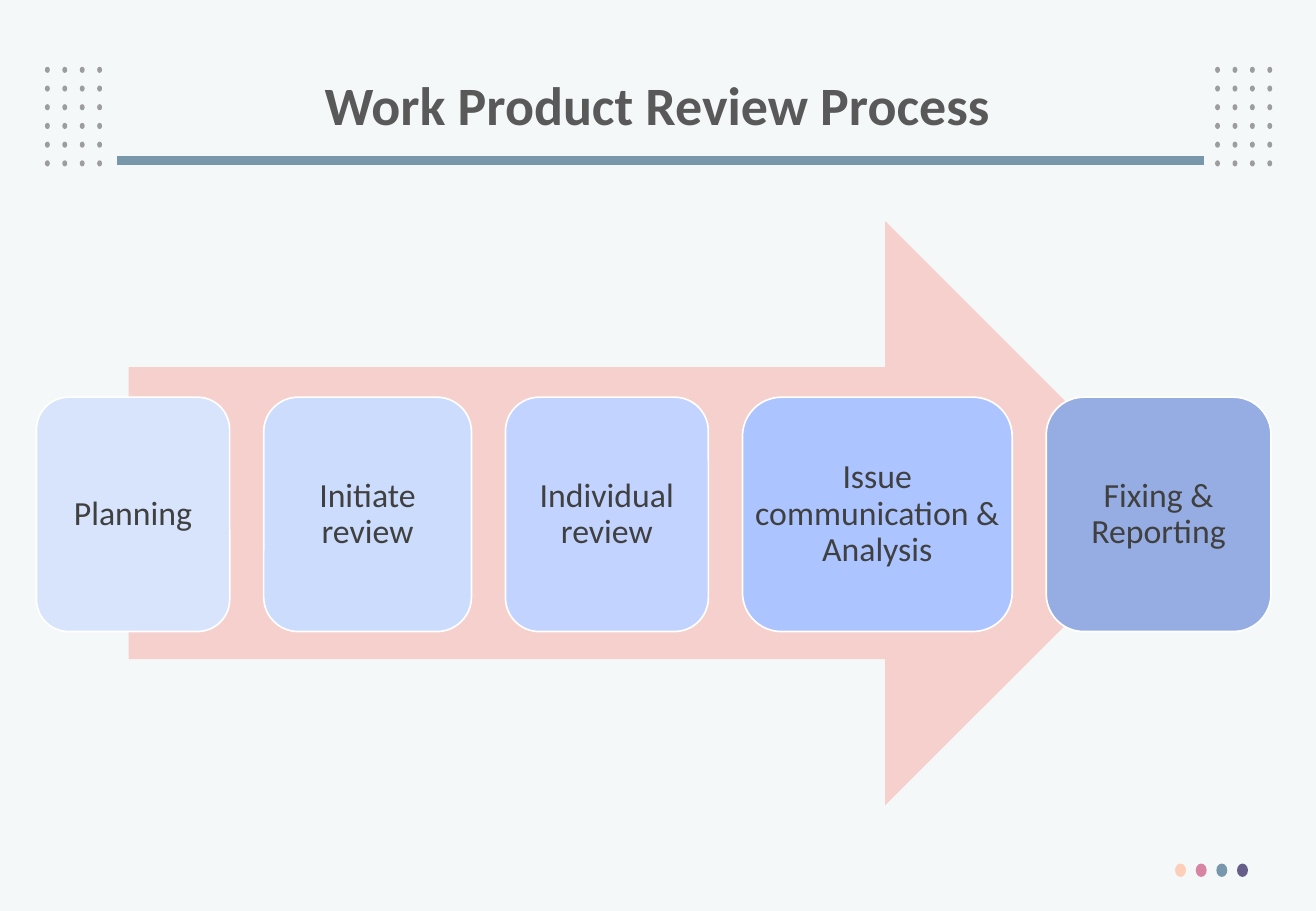
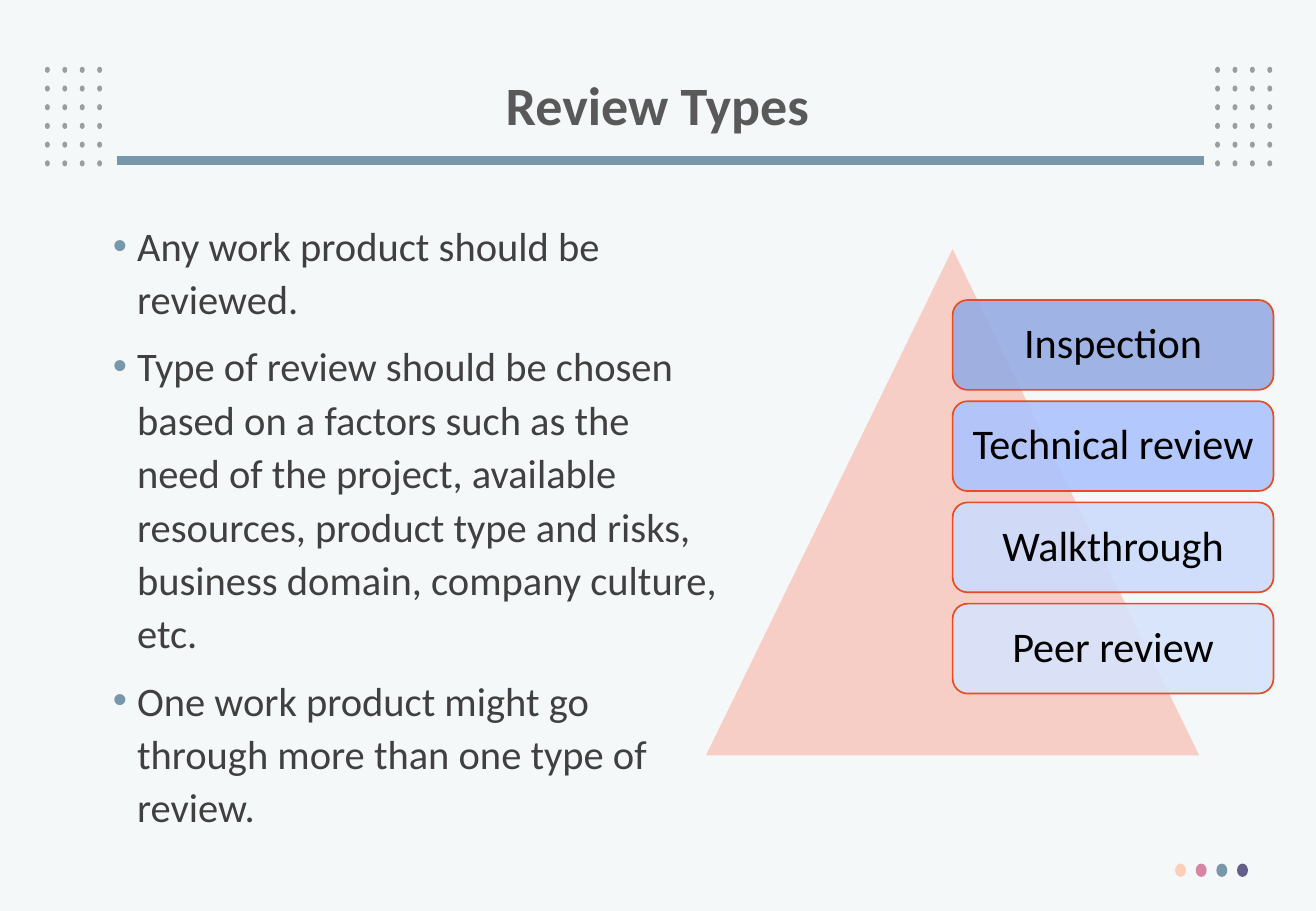
"""Build two slides on work product reviews: the process and the review types."""
from dataclasses import dataclass

from lxml import etree
from pptx import Presentation
from pptx.dml.color import RGBColor
from pptx.enum import shapes, text
from pptx.oxml import ns
from pptx.util import Inches, Pt

FONT = "Calibri"
BACKGROUND, TITLE, BODY, RULE, DOT = "F5F8F9", "595959", "404040", "7897AB", "9D9D9D"
FOOTER_DOTS = ("FDCEB9", "D885A3", RULE, "655D8A")
SHAPE, ALIGN, ANCHOR = shapes.MSO_SHAPE, text.PP_ALIGN, text.MSO_ANCHOR


@dataclass(frozen=True)
class Step:
    label: str
    width: float
    fill: str


@dataclass(frozen=True)
class ReviewType:
    label: str
    fill: str


STEPS = (
    Step("Planning", 1.59, "D7E4FC"),
    Step("Initiate review", 1.71, "CCDCFD"),
    Step("Individual review", 1.67, "C1D3FE"),
    Step("Issue communication & Analysis", 2.22, "ACC4FF"),
    Step("Fixing & Reporting", 1.85, "96ADE3"),
)
REVIEW_TYPES = (
    ReviewType("Inspection", "96ADE3"),
    ReviewType("Technical review", "ACC4FF"),
    ReviewType("Walkthrough", "CCDCFD"),
    ReviewType("Peer review", "D7E4FC"),
)
POINTS = (
    "Any work product should be reviewed.",
    "Type of review should be chosen based on a factors such as the need of the project, "
    "available resources, product type and risks, business domain, company culture, etc.",
    "One work product might go through more than one type of review.",
)


def set_colour(target, value: str) -> None:
    """Give a fill, line fill or font a solid colour from a hex string."""
    if hasattr(target, "solid"):
        target.solid()
        target = target.fore_color
    else:
        target = target.color
    target.rgb = RGBColor.from_string(value)


def add_bullet(p) -> None:
    """Give a paragraph a hanging coloured bullet."""
    pPr = p._p.get_or_add_pPr()
    pPr.set("marL", str(Inches(0.2)))
    pPr.set("indent", str(-Inches(0.2)))
    colour = etree.SubElement(pPr, ns.qn("a:buClr"))
    etree.SubElement(colour, ns.qn("a:srgbClr"), val=RULE)
    etree.SubElement(pPr, ns.qn("a:buFont"), typeface="Arial")
    etree.SubElement(pPr, ns.qn("a:buChar"), char="•")


def write(sp, *lines: str, size: float, colour: str, bold: bool = False,
          align=ALIGN.CENTER, anchor=ANCHOR.MIDDLE, spacing: float = 0.9,
          before: float = 0, margins: tuple[float, float] = (0.1, 0.05),
          bullets: bool = False) -> None:
    """Write one paragraph per line into a shape."""
    tf = sp.text_frame
    tf.word_wrap = True
    tf.vertical_anchor = anchor
    tf.margin_left = tf.margin_right = Inches(margins[0])
    tf.margin_top = tf.margin_bottom = Inches(margins[1])
    for i, line in enumerate(lines):
        p = tf.add_paragraph() if i else tf.paragraphs[0]
        p.alignment, p.line_spacing, p.space_before = align, spacing, Pt(before)
        if bullets:
            add_bullet(p)
        r = p.add_run()
        r.text = line
        r.font.name, r.font.size, r.font.bold = FONT, Pt(size), bold
        set_colour(r.font.fill, colour)


def add_box(s, kind, x: float, y: float, w: float, h: float, fill: str,
            line: str | None = None, opacity: int = 100):
    """Add a filled preset shape, with an optional one-point outline."""
    sp = s.shapes.add_shape(kind, Inches(x), Inches(y), Inches(w), Inches(h))
    sp.shadow.inherit = False
    set_colour(sp.fill, fill)
    if opacity < 100:
        colour = sp.element.spPr.find(ns.qn("a:solidFill"))[0]
        etree.SubElement(colour, ns.qn("a:alpha"), val=str(opacity * 1000))
    if line:
        set_colour(sp.line.fill, line)
        sp.line.width = Pt(1)
    else:
        sp.line.fill.background()
    return sp


def add_text_box(s, x: float, y: float, w: float, h: float):
    """Add an empty text box."""
    return s.shapes.add_textbox(Inches(x), Inches(y), Inches(w), Inches(h))


def add_rule(s) -> None:
    """Draw the thick line under the title."""
    rule = s.shapes.add_connector(shapes.MSO_CONNECTOR.STRAIGHT, Inches(9.91),
                                  Inches(1.32), Inches(0.96), Inches(1.32))
    set_colour(rule.line.fill, RULE)
    rule.line.width = Pt(5.25)
    etree.SubElement(rule.element.spPr, ns.qn("a:effectLst"))


def new_slide(prs, title: str):
    """Add a slide with the shared background, dots, rule and title."""
    s = prs.slides.add_slide(prs.slide_layouts[6])
    set_colour(s.background.fill, BACKGROUND)
    for left in (0.37, 10):
        for row in range(6):
            for col in range(4):
                add_box(s, SHAPE.OVAL, left + col * 0.43 / 3, 0.55 + row * 0.77 / 5,
                        0.04, 0.05, DOT)
    add_rule(s)
    for i, colour in enumerate(FOOTER_DOTS):
        add_box(s, SHAPE.OVAL, 9.67 + i * 0.17, 7.11, 0.09, 0.11, colour)
    write(add_text_box(s, 0.74, 0.4, 9.34, 0.98), title, size=32, colour=TITLE, bold=True)
    return s


def add_process_slide(prs) -> None:
    """Draw the five review steps along an arrow."""
    s = new_slide(prs, "Work Product Review Process")
    add_box(s, SHAPE.RIGHT_ARROW, 1.06, 1.82, 8.63, 4.81, "F6D0CD")
    x, gap = 0.3, 0.28
    for step in STEPS:
        sp = add_box(s, SHAPE.ROUNDED_RECTANGLE, x, 3.27, step.width, 1.93, step.fill, "FFFFFF")
        write(sp, step.label, size=20, colour=BODY, margins=(0, 0.08))
        x += step.width + gap


def add_types_slide(prs) -> None:
    """Draw the bullet points and the stack of review types."""
    s = new_slide(prs, "Review Types")
    write(add_text_box(s, 0.83, 1.73, 5.18, 5.63), *POINTS, size=24, colour=BODY,
          align=ALIGN.LEFT, anchor=ANCHOR.TOP, spacing=1.1, before=8.1, bullets=True)
    add_box(s, SHAPE.ISOSCELES_TRIANGLE, 5.81, 2.05, 4.06, 4.17, "F7CEC5")
    for i, kind in enumerate(REVIEW_TYPES):
        sp = add_box(s, SHAPE.ROUNDED_RECTANGLE, 7.84, 2.47 + i * 2.5 / 3, 2.64, 0.74,
                     kind.fill, "E84C22", opacity=90)
        write(sp, kind.label, size=25, colour="000000", margins=(0.1, 0.1))


def main() -> None:
    """Build and save the presentation."""
    prs = Presentation()
    prs.slide_width, prs.slide_height = Inches(10.83), Inches(7.5)
    add_process_slide(prs)
    add_types_slide(prs)
    prs.save("out.pptx")


if __name__ == "__main__":
    main()
